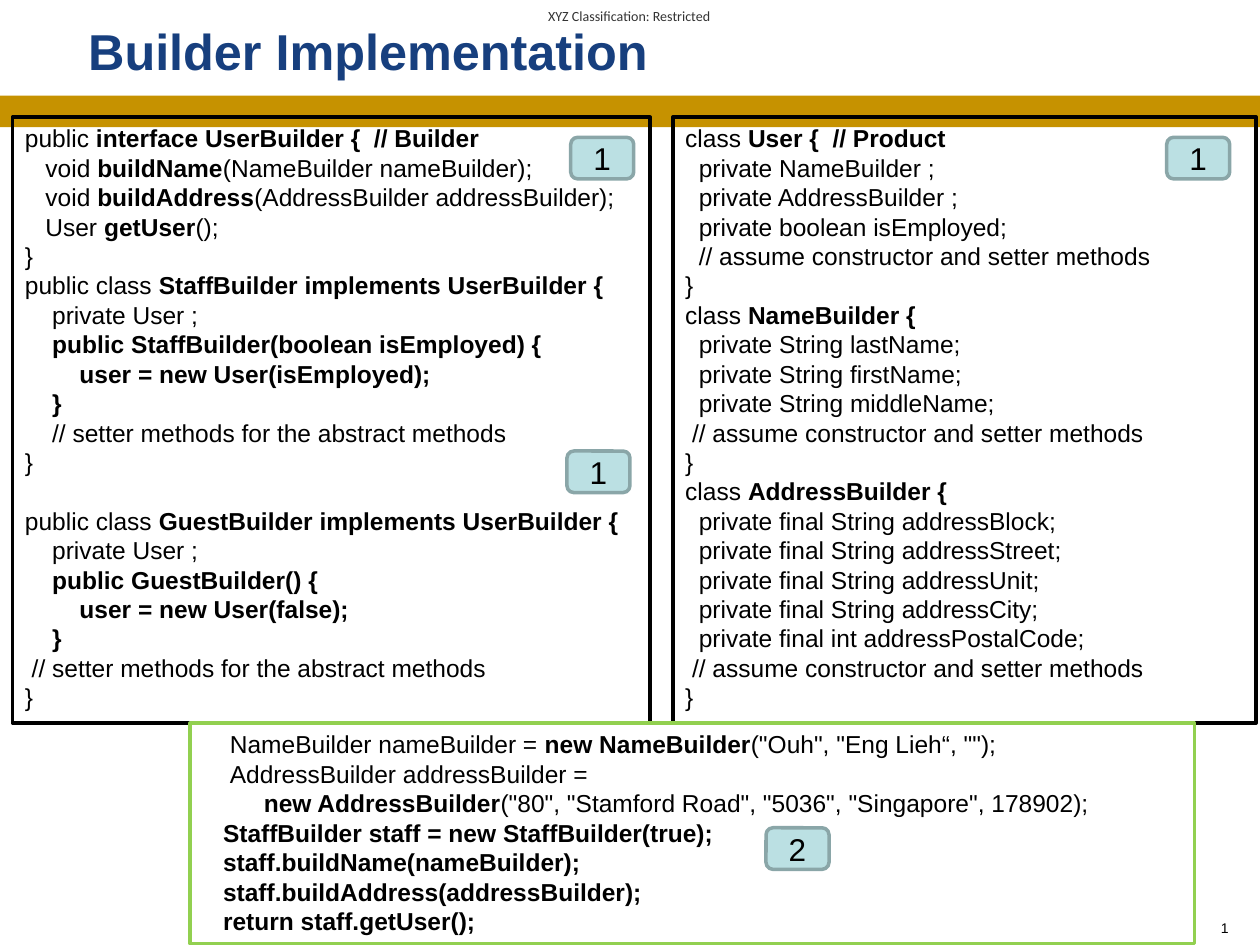
import pptx
import pptx.util
import pptx.dml.color
import pptx.enum.shapes
import pptx.enum.text
import pptx.oxml
import pptx.oxml.ns

Inches = pptx.util.Inches
Pt = pptx.util.Pt
Align = pptx.enum.text.PP_ALIGN
Anchor = pptx.enum.text.MSO_ANCHOR
Shapes = pptx.enum.shapes.MSO_SHAPE

COLORS = {"band": "C69200", "title": "173F7E", "text": "000000", "label": "333333",
          "call": "92D050", "badge": "BBE0E3", "badge_line": "8AA6A8"}
RGB = {name: pptx.dml.color.RGBColor.from_string(value) for name, value in COLORS.items()}
CODE_SIZE = 14
INDENT_UNIT = 3.89   # points per column of code indent
BLANK_LINE = 16.8    # points

presentation = pptx.Presentation()
presentation.slide_width = Inches(10)
presentation.slide_height = Inches(7.5)
slide = presentation.slides.add_slide(presentation.slide_layouts[5])


def write(paragraph, text, size=CODE_SIZE, font="Arial", color="text", bold=False,
          align=Align.LEFT):
    """Add text to a paragraph; parts between ** marks switch weight."""
    paragraph.alignment = align
    for index, part in enumerate(text.split("**")):
        if part:
            run = paragraph.add_run()
            run.text = part
            run.font.size = Pt(size)
            run.font.name = font
            run.font.bold = bold or index % 2 == 1
            run.font.color.rgb = RGB[color]


# Gold band
band = slide.shapes.add_shape(Shapes.RECTANGLE, 0, Inches(0.76), Inches(10), Inches(0.25))
band.shadow.inherit = False
band.fill.solid()
band.fill.fore_color.rgb = RGB["band"]
band.line.fill.background()

# Classification label
label = slide.shapes.add_textbox(Inches(4.18), 0, Inches(1.63), Inches(0.25))
frame = label.text_frame
frame.margin_left = frame.margin_right = frame.margin_top = frame.margin_bottom = 0
frame.vertical_anchor = Anchor.MIDDLE
write(frame.paragraphs[0], "XYZ Classification: Restricted", size=8, font="Calibri",
      color="label", align=Align.CENTER)

# Title
title = slide.shapes.title
title.left, title.top, title.width, title.height = map(Inches, (0.6, 0.1, 7.22, 0.6))
title.text_frame.auto_size = pptx.enum.text.MSO_AUTO_SIZE.NONE
title.text_frame.vertical_anchor = Anchor.MIDDLE
write(title.text_frame.paragraphs[0], "Builder Implementation", size=28.8,
      color="title", bold=True)

# Slide number
number = slide.shapes.add_textbox(Inches(8.43), Inches(7.25), Inches(1.42), Inches(0.25))
paragraph = number.text_frame.paragraphs[0]
write(paragraph, "15", size=8, align=Align.RIGHT)
run_element = paragraph.runs[0]._r
field = pptx.oxml.parse_xml(
    f'<a:fld {pptx.oxml.ns.nsdecls("a")} type="slidenum" '
    'id="{B6F15528-21DE-4FAA-801E-634DDDAF4B2B}"/>')
run_element.addprevious(field)
field.extend(list(run_element))
paragraph._p.remove(run_element)

# Code lines: (indent columns, text with bold parts marked)
builders = [
    (0, "public **interface UserBuilder {  // Builder"),
    (3, "void **buildName**(NameBuilder nameBuilder);"),
    (3, "void **buildAddress**(AddressBuilder addressBuilder);"),
    (3, "User **getUser**();"),
    (0, "}"),
    (0, "public class **StaffBuilder implements UserBuilder {"),
    (4, "private User ;"),
    (4, "**public StaffBuilder(boolean isEmployed) {"),
    (8, "**user = new User(isEmployed);"),
    (4, "**}"),
    (4, "// setter methods for the abstract methods"),
    (0, "}"),
    (0, "public class **GuestBuilder implements UserBuilder {"),
    (4, "private User ;"),
    (4, "**public GuestBuilder() {"),
    (8, "**user = new User(false);"),
    (4, "**}"),
    (1, "// setter methods for the abstract methods"),
    (0, "}"),
]
products = [
    (0, "class **User {  // Product"),
    (2, "private NameBuilder ;"),
    (2, "private AddressBuilder ;"),
    (2, "private boolean isEmployed;"),
    (2, "// assume constructor and setter methods"),
    (0, "}"),
    (0, "class **NameBuilder {"),
    (2, "private String lastName;"),
    (2, "private String firstName;"),
    (2, "private String middleName;"),
    (1, "// assume constructor and setter methods"),
    (0, "}"),
    (0, "class **AddressBuilder {"),
    (2, "private final String addressBlock;"),
    (2, "private final String addressStreet;"),
    (2, "private final String addressUnit;"),
    (2, "private final String addressCity;"),
    (2, "private final int addressPostalCode;"),
    (1, "// assume constructor and setter methods"),
    (0, "}"),
]
client = [
    (4, 'NameBuilder nameBuilder = **new NameBuilder**("Ouh", "Eng Lieh“, "");'),
    (4, "AddressBuilder addressBuilder ="),
    (9, '**new AddressBuilder**("80", "Stamford Road", "5036", "Singapore", 178902);'),
    (3, "**StaffBuilder staff = new StaffBuilder(true);"),
    (3, "**staff.buildName(nameBuilder);"),
    (3, "**staff.buildAddress(addressBuilder);"),
    (3, "**return staff.getUser();"),
]

# Code boxes
code_boxes = [
    ((0.1, 0.93, 5.06, 4.81), "text", builders),
    ((5.34, 0.93, 4.63, 4.81), "text", products),
    ((1.51, 5.74, 7.97, 1.75), "call", client),
]
for position, line_color, lines in code_boxes:
    box = slide.shapes.add_textbox(*map(Inches, position))
    box.line.color.rgb = RGB[line_color]
    box.line.width = Pt(2)
    frame = box.text_frame
    frame.word_wrap = True
    for index, (indent, text) in enumerate(lines):
        paragraph = frame.add_paragraph() if index else frame.paragraphs[0]
        write(paragraph, text)
        paragraph._p.get_or_add_pPr().set("marL", str(int(Pt(indent * INDENT_UNIT))))
        if "GuestBuilder implements" in text:
            paragraph.space_before = Pt(BLANK_LINE)

# Step badges
for left, top, step in [(4.53, 1.09, "1"), (9.26, 1.09, "1"), (6.08, 6.57, "2"), (4.5, 3.58, "1")]:
    badge = slide.shapes.add_shape(Shapes.FLOWCHART_ALTERNATE_PROCESS, Inches(left),
                                   Inches(top), Inches(0.5), Inches(0.33))
    badge.shadow.inherit = False
    badge.fill.solid()
    badge.fill.fore_color.rgb = RGB["badge"]
    badge.line.color.rgb = RGB["badge_line"]
    badge.line.width = Pt(2)
    badge.text_frame.vertical_anchor = Anchor.MIDDLE
    write(badge.text_frame.paragraphs[0], step, size=18, align=Align.CENTER)

presentation.save("out.pptx")
